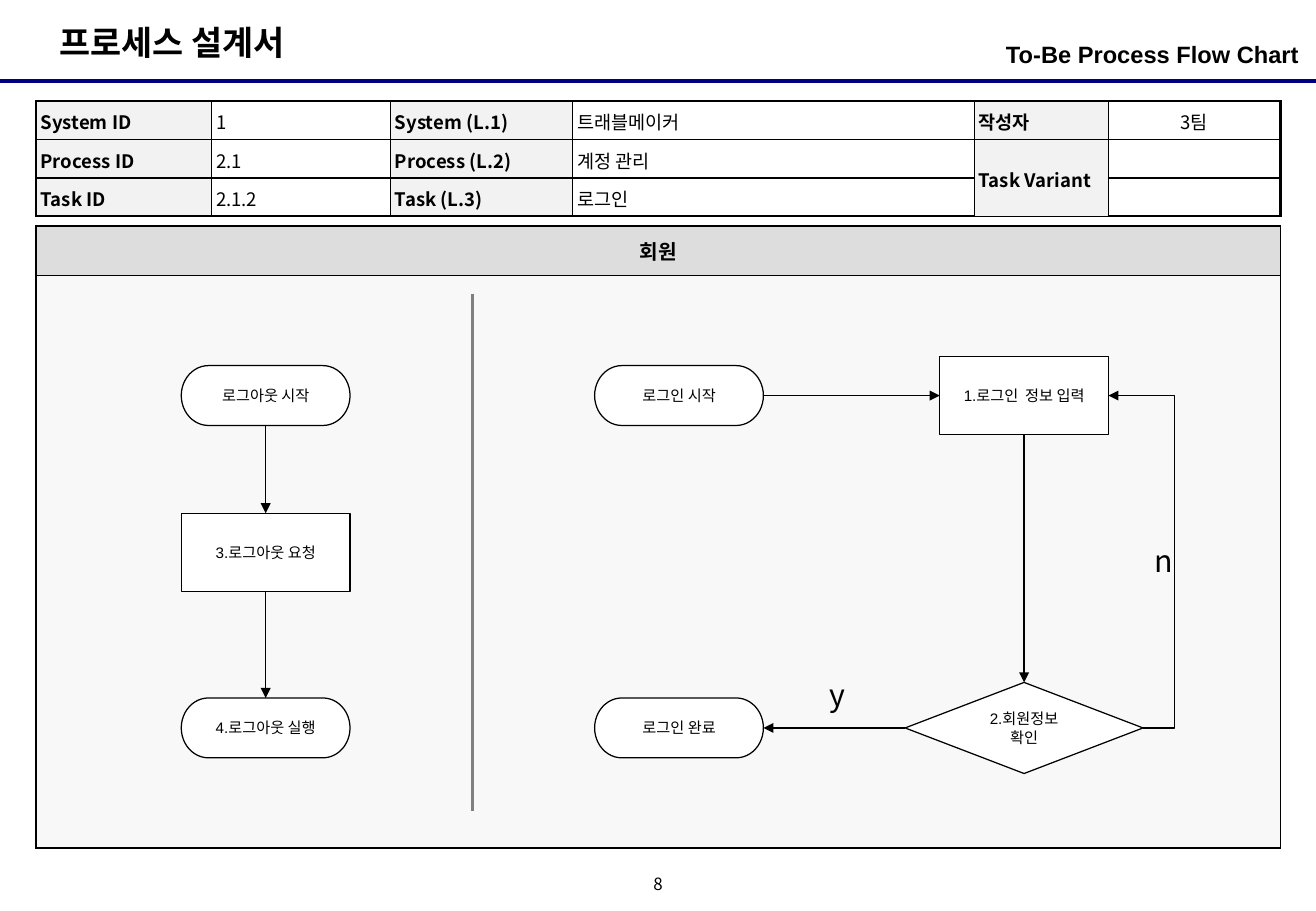
from collections import namedtuple
from dataclasses import dataclass

from lxml import etree
from pptx import Presentation
from pptx.dml.color import RGBColor
from pptx.enum import shapes, text
from pptx.oxml import ns
from pptx.util import Pt

Box = namedtuple("Box", "left top width height")


@dataclass(frozen=True)
class Theme:
    latin: str = "Arial"
    korean: str = "Noto Sans CJK KR"
    ink: str = "000000"
    paper: str = "FFFFFF"
    rule: str = "000080"
    divider: str = "7F7F7F"
    label_fill: str = "F2F2F2"
    lane_head: str = "DDDDDD"
    lane_body: str = "F8F8F8"
    title: float = 20
    subtitle: float = 14
    lane: float = 12
    cell: float = 11
    node: float = 9
    branch: float = 18
    number: float = 10
    thick: float = 1.5
    medium: float = 1
    thin: float = 0.75


THEME = Theme()
LEFT, CENTER, RIGHT = text.PP_ALIGN.LEFT, text.PP_ALIGN.CENTER, text.PP_ALIGN.RIGHT
TOP, MIDDLE = text.MSO_ANCHOR.TOP, text.MSO_ANCHOR.MIDDLE
SITE = {"top": 0, "left": 1, "bottom": 2, "right": 3}


def points(*lengths):
    return [Pt(length) for length in lengths]


def color(value):
    return RGBColor.from_string(value)


def write(frame, content, size, font=THEME.latin, bold=False, align=LEFT, spacing=None):
    """Fill a text frame and format every run in it."""
    frame.text = content
    for paragraph in frame.paragraphs:
        paragraph.alignment = align
        if spacing:
            paragraph.line_spacing = spacing
        if not paragraph.runs:
            paragraph._p.get_or_add_endParaRPr().set("sz", str(int(size * 100)))
        for run in paragraph.runs:
            run.font.name, run.font.size, run.font.bold = font, Pt(size), bold
            run.font.color.rgb = color(THEME.ink)
            east_asian = etree.SubElement(run._r.rPr, ns.qn("a:ea"))
            east_asian.set("typeface", THEME.korean)


def set_frame(frame, horizontal=7.2, vertical=3.6, anchor=TOP, wrap=True):
    frame.margin_left = frame.margin_right = Pt(horizontal)
    frame.margin_top = frame.margin_bottom = Pt(vertical)
    frame.vertical_anchor, frame.word_wrap = anchor, wrap
    frame.auto_size = text.MSO_AUTO_SIZE.NONE


def add_text(slide, box, content, size, horizontal=7.2, vertical=3.6,
             anchor=TOP, wrap=True, **style):
    frame = slide.shapes.add_textbox(*points(*box)).text_frame
    set_frame(frame, horizontal, vertical, anchor, wrap)
    write(frame, content, size, **style)


def style_line(connector, line_color, width, arrow=False):
    connector.line.color.rgb, connector.line.width = color(line_color), Pt(width)
    if arrow:
        line = connector.line._get_or_add_ln()
        etree.SubElement(line, ns.qn("a:tailEnd")).set("type", "triangle")
    etree.SubElement(connector._element.spPr, ns.qn("a:effectLst"))


def add_line(slide, start, end, line_color, width):
    line = slide.shapes.add_connector(shapes.MSO_CONNECTOR.STRAIGHT, *points(*start, *end))
    style_line(line, line_color, width)


def style_cell(cell, fill, borders):
    """Draw the left, right, top and bottom borders, then the fill."""
    properties = cell._tc.get_or_add_tcPr()
    for side, width in zip("LRTB", borders):
        line = etree.SubElement(properties, ns.qn(f"a:ln{side}"), w=str(Pt(width)))
        solid = etree.SubElement(line, ns.qn("a:solidFill"))
        etree.SubElement(solid, ns.qn("a:srgbClr"), val=THEME.ink)
    if fill:
        cell.fill.solid()
        cell.fill.fore_color.rgb = color(fill)
    else:
        cell.fill.background()


def add_table(slide, box, widths, heights):
    table = slide.shapes.add_table(len(heights), len(widths), *points(*box)).table
    table.first_row = table.horz_banding = False
    for column, width in zip(table.columns, widths):
        column.width = Pt(width)
    for row, height in zip(table.rows, heights):
        row.height = Pt(height)
    return table


def page_header(slide, box):
    title = slide.shapes.title
    title.left, title.top, title.width, title.height = points(box.left + 28, box.top + 9.5, 163, 32)
    set_frame(title.text_frame)
    write(title.text_frame, "프로세스 설계서", THEME.title, bold=True)
    add_text(slide, Box(box.left + box.width - 248, box.top + 20, 238, 28),
             "To-Be Process Flow Chart", THEME.subtitle, horizontal=0, bold=True, align=RIGHT)
    bottom = box.top + box.height
    add_line(slide, (box.left, bottom), (box.left + box.width, bottom), THEME.rule, 2.25)


def task_table(slide, box):
    rows = [
        ["System ID", "1", "System (L.1)", "트래블메이커", "작성자", "3팀"],
        ["Process ID", "2.1", "Process (L.2)", "계정 관리", "Task Variant", ""],
        ["Task ID", "2.1.2", "Task (L.3)", "로그인", "", ""],
    ]
    widths = [104, 106, 108, 238, 79.5, 102]
    table = add_table(slide, box, widths, [box.height / len(rows)] * len(rows))
    last_row, last_column = len(rows) - 1, len(widths) - 1
    for r, row in enumerate(rows):
        for c, content in enumerate(row):
            cell = table.cell(r, c)
            is_label = c % 2 == 0
            outer = (c == 0, c == last_column, r == 0, r == last_row)
            style_cell(cell, THEME.label_fill if is_label else None,
                       [THEME.thick if edge else THEME.medium for edge in outer])
            cell.margin_left = cell.margin_right = Pt(2.6)
            cell.margin_top = cell.margin_bottom = Pt(2.6)
            cell.vertical_anchor = MIDDLE if c >= 4 else TOP
            write(cell.text_frame, content, THEME.cell, font=THEME.korean, bold=is_label,
                  align=CENTER if c == last_column else LEFT, spacing=1.1)
    table.cell(1, 4).merge(table.cell(2, 4))


def lane_table(slide, box, head):
    table = add_table(slide, box, [box.width], [head, box.height - head])
    title, body = table.cell(0, 0), table.cell(1, 0)
    thick, thin = THEME.thick, THEME.thin
    style_cell(title, THEME.lane_head, [thick, thin, thick, thin])
    style_cell(body, THEME.lane_body, [thick, thin, thin, thick])
    title.vertical_anchor = MIDDLE
    write(title.text_frame, "회원", THEME.lane, bold=True, align=CENTER)


def flow_chart(slide, box):
    kinds = shapes.MSO_SHAPE
    sizes = {kinds.FLOWCHART_TERMINATOR: (100, 35.5), kinds.RECTANGLE: (100, 46.5),
             kinds.DIAMOND: (141, 54)}
    logout, login, check = (box.left + x for x in (136, 381, 585.5))
    first, second, third = (box.top + y for y in (71, 164, 268))

    # Nodes, placed by their centres
    nodes = {}
    for name, kind, x, y, content in [
        ("logout start", kinds.FLOWCHART_TERMINATOR, logout, first, "로그아웃 시작"),
        ("logout request", kinds.RECTANGLE, logout, second, "3.로그아웃 요청"),
        ("logout done", kinds.FLOWCHART_TERMINATOR, logout, third, "4.로그아웃 실행"),
        ("login start", kinds.FLOWCHART_TERMINATOR, login, first, "로그인 시작"),
        ("login input", kinds.RECTANGLE, check, first, "1.로그인  정보 입력"),
        ("login check", kinds.DIAMOND, check, third, "2.회원정보\n확인"),
        ("login done", kinds.FLOWCHART_TERMINATOR, login, third, "로그인 완료"),
    ]:
        width, height = sizes[kind]
        node = slide.shapes.add_shape(kind, *points(x - width / 2, y - height / 2, width, height))
        node.shadow.inherit = False
        node.fill.solid()
        node.fill.fore_color.rgb = color(THEME.paper)
        node.line.color.rgb, node.line.width = color(THEME.ink), Pt(THEME.thin)
        set_frame(node.text_frame, anchor=MIDDLE)
        write(node.text_frame, content, THEME.node, align=CENTER)
        nodes[name] = node

    # Arrows, glued to the sides of the nodes
    straight, elbow = shapes.MSO_CONNECTOR.STRAIGHT, shapes.MSO_CONNECTOR.ELBOW
    for kind, source, source_side, target, target_side in [
        (straight, "logout start", "bottom", "logout request", "top"),
        (straight, "logout request", "bottom", "logout done", "top"),
        (straight, "login start", "right", "login input", "left"),
        (straight, "login input", "bottom", "login check", "top"),
        (straight, "login check", "left", "login done", "right"),
        (elbow, "login check", "right", "login input", "right"),
    ]:
        arrow = slide.shapes.add_connector(kind, 0, 0, 0, 0)
        arrow.begin_connect(nodes[source], SITE[source_side])
        arrow.end_connect(nodes[target], SITE[target_side])
        style_line(arrow, THEME.ink, THEME.thin, arrow=True)
        if kind == elbow:
            adjustments = arrow._element.spPr.find(ns.qn("a:prstGeom")).get_or_add_avLst()
            etree.SubElement(adjustments, ns.qn("a:gd"), name="adj1", fmla="val -90500")

    # Branch labels and the divider between the two flows
    for content, x, y in [("n", 656, 154.5), ("y", 463, 234)]:
        add_text(slide, Box(box.left + x, box.top + y, 20, 29), content, THEME.branch,
                 wrap=False, font=THEME.korean)
    divider = box.left + 258.5
    add_line(slide, (divider, box.top + 10.5), (divider, box.top + 317.5),
             THEME.divider, THEME.thick)


def main():
    presentation = Presentation()
    presentation.slide_width, presentation.slide_height = points(780, 540)
    slide = presentation.slides.add_slide(presentation.slide_layouts[5])
    lane, head = Box(21.5, 134, 737.5, 368.5), 29.5
    page_header(slide, Box(0, 0, 780, 48))
    task_table(slide, Box(lane.left, 60, lane.width, 67.8))
    lane_table(slide, lane, head)
    flow_chart(slide, Box(lane.left, lane.top + head, lane.width, lane.height - head))
    add_text(slide, Box(378, 516, 24, 18), "8", THEME.number, horizontal=0, vertical=0,
             anchor=MIDDLE, font=THEME.korean, align=CENTER, spacing=0.8)
    presentation.save("out.pptx")


if __name__ == "__main__":
    main()
